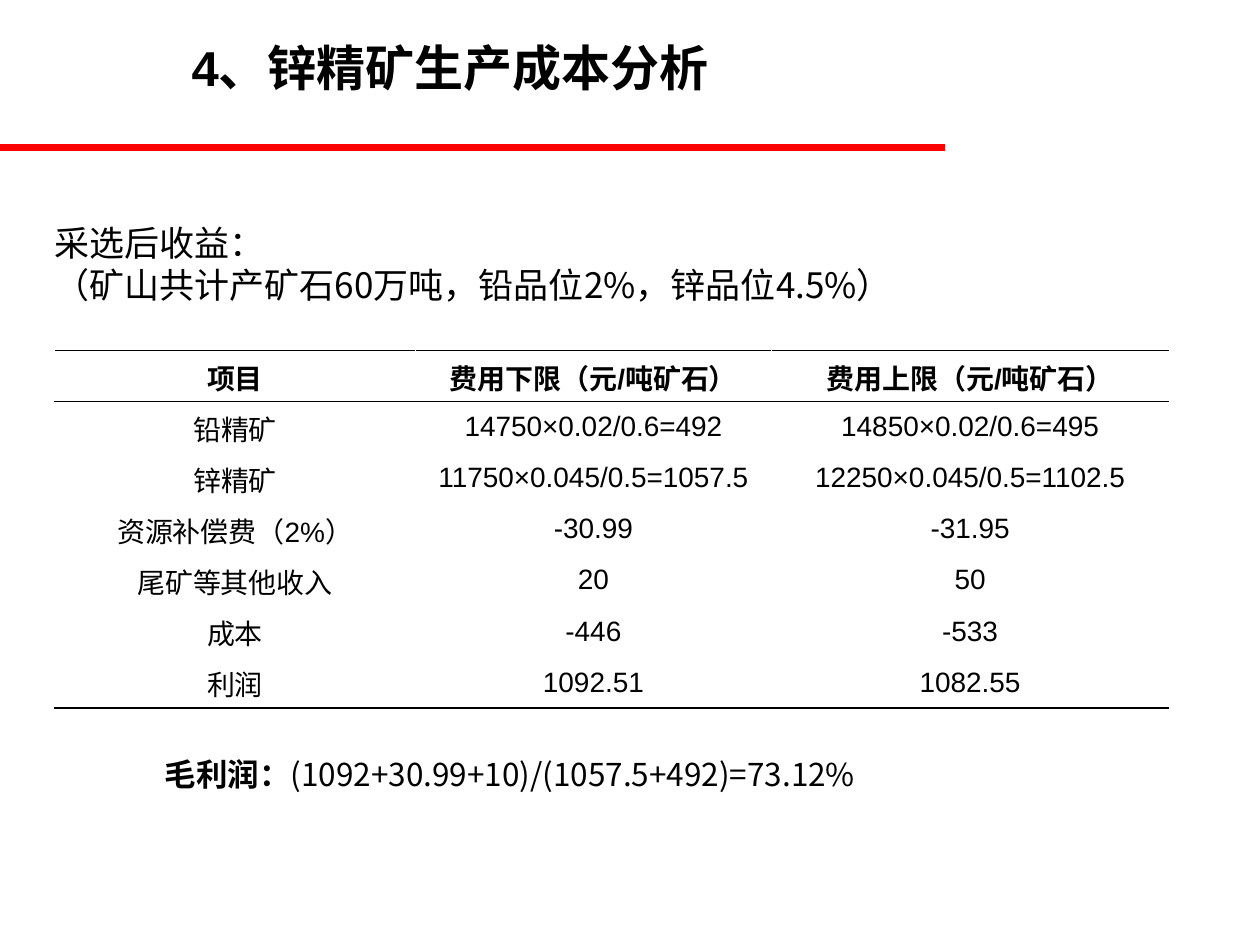
from lxml.etree import SubElement
from pptx import Presentation
from pptx.dml.color import RGBColor
from pptx.enum.shapes import MSO_CONNECTOR as Connector
from pptx.enum.text import MSO_ANCHOR as Anchor, MSO_AUTO_SIZE as AutoSize, PP_ALIGN as Align
from pptx.oxml import parse_xml
from pptx.oxml.ns import nsdecls, qn
from pptx.util import Pt

BLACK = RGBColor(0, 0, 0)
WHITE = RGBColor(255, 255, 255)
RED = RGBColor(255, 0, 0)
LATIN = "Arial"
CHINESE = "Noto Sans CJK SC"
THIN, THICK = 0.45, 1.08
COLUMN_WIDTHS = (206.6, 203, 227.5)
ROW_HEIGHT = 29.2
ROWS = (
    ("项目", "费用下限（元/吨矿石）", "费用上限（元/吨矿石）"),
    ("铅精矿", "14750×0.02/0.6=492", "14850×0.02/0.6=495"),
    ("锌精矿", "11750×0.045/0.5=1057.5", "12250×0.045/0.5=1102.5"),
    ("资源补偿费（2%）", "-30.99", "-31.95"),
    ("尾矿等其他收入", "20", "50"),
    ("成本", "-446", "-533"),
    ("利润", "1092.51", "1082.55"),
)


def add_span(para, text, size=16, font=LATIN, bold=False, align=Align.LEFT):
    para.alignment = align
    span = para.add_run()
    span.text = text
    span.font.size = Pt(size)
    span.font.name = font
    span.font.bold = bold
    span.font.color.rgb = BLACK
    SubElement(span.font._element, qn("a:ea"), typeface=CHINESE)


def add_box(page, left, top, width, height):
    box = page.shapes.add_textbox(Pt(left), Pt(top), Pt(width), Pt(height))
    box.text_frame.word_wrap = True
    box.text_frame.auto_size = AutoSize.SHAPE_TO_FIT_TEXT
    return box.text_frame


def add_rule(page, left, right, top):
    rule = page.shapes.add_connector(Connector.STRAIGHT, Pt(left), Pt(top), Pt(right), Pt(top))
    rule.line.color.rgb = RED
    rule.line.width = Pt(3.75)
    SubElement(rule._element.spPr, qn("a:effectLst"))


def set_borders(cell, **borders):
    properties = cell._tc.get_or_add_tcPr()
    for index, side in enumerate("LRTB"):
        color, width = borders.get(side, (WHITE, THIN))
        properties.insert(index, parse_xml(
            f'<a:ln{side} {nsdecls("a")} w="{Pt(width)}"><a:solidFill>'
            f'<a:srgbClr val="{color}"/></a:solidFill></a:ln{side}>'))


def add_cost_table(page, left, top):
    frame = page.shapes.add_table(len(ROWS), len(COLUMN_WIDTHS), Pt(left), Pt(top),
                                  Pt(sum(COLUMN_WIDTHS)), Pt(ROW_HEIGHT * len(ROWS)))
    table = frame.table
    for column, width in zip(table.columns, COLUMN_WIDTHS):
        column.width = Pt(width)
    row_borders = {
        0: {"T": (BLACK, THICK), "B": (BLACK, THIN)},
        1: {"T": (BLACK, THIN)},
        len(ROWS) - 1: {"B": (BLACK, THICK)},
    }
    for row_index, texts in enumerate(ROWS):
        table.rows[row_index].height = Pt(ROW_HEIGHT)
        for column_index, text in enumerate(texts):
            cell = table.cell(row_index, column_index)
            cell.vertical_anchor = Anchor.MIDDLE
            cell.fill.solid()
            cell.fill.fore_color.rgb = WHITE
            set_borders(cell, **row_borders.get(row_index, {}))
            add_span(cell.text_frame.paragraphs[0], text,
                     bold=row_index == 0, align=Align.CENTER)


def main():
    deck = Presentation()
    deck.slide_width, deck.slide_height = Pt(720), Pt(540)
    page = deck.slides.add_slide(deck.slide_layouts[6])

    add_rule(page, 0, 540, 84.2)
    title = add_box(page, 13.7, 18, 486.7, 41)
    add_span(title.paragraphs[0], "4、锌精矿生产成本分析", size=28, bold=True, align=Align.CENTER)

    intro = add_box(page, 23.8, 123.1, 647.3, 55.4)
    add_span(intro.paragraphs[0], "采选后收益：", size=20, font=CHINESE)
    add_span(intro.add_paragraph(), "（矿山共计产矿石60万吨，铅品位2%，锌品位4.5%）",
             size=20, font=CHINESE)

    add_cost_table(page, 31, 200.2)

    profit = add_box(page, 87.1, 427.7, 472.3, 28.8).paragraphs[0]
    add_span(profit, "毛利润：", size=18, font=CHINESE, bold=True)
    add_span(profit, "(1092+30.99+10)/(1057.5+492)=73.12%", size=18, font=CHINESE)

    deck.save("out.pptx")


if __name__ == "__main__":
    main()
